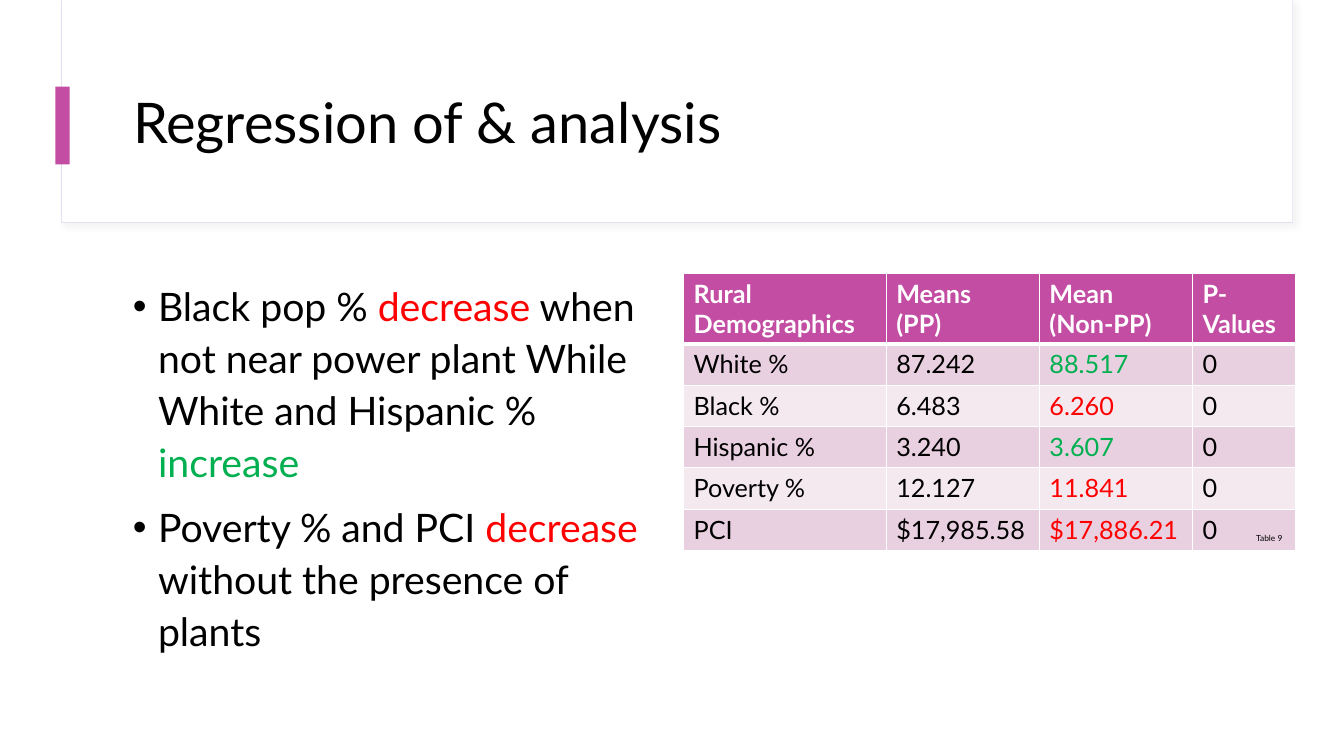
"""Builds the slide on the regression of rural demographics near power plants."""
from collections import namedtuple

from lxml import etree
from pptx import Presentation
from pptx.dml.color import RGBColor
from pptx.enum.shapes import MSO_SHAPE
from pptx.enum.text import MSO_ANCHOR, MSO_AUTO_SIZE, PP_ALIGN
from pptx.oxml import parse_xml
from pptx.oxml.ns import nsdecls, qn
from pptx.util import Inches, Pt

RECTANGLE = MSO_SHAPE.RECTANGLE
MIDDLE, TOP = MSO_ANCHOR.MIDDLE, MSO_ANCHOR.TOP
LEFT = PP_ALIGN.LEFT
FIT_SHAPE, NO_FIT = MSO_AUTO_SIZE.SHAPE_TO_FIT_TEXT, MSO_AUTO_SIZE.NONE

THEME = {
    "font": "Lato",
    "text": "000000", "white": "FFFFFF", "accent": "C34DA3",
    "panel_line": "E1E1F2", "shadow": "D9D9D9",
    "bands": ("E9D0E0", "F5E9F0"),
    "down": "FF0000", "up": "00B050",
    "title_size": 40, "body_size": 28, "table_size": 18, "label_size": 6,
}

TITLE = "Regression of & analysis"
FINDINGS = [
    [("Black pop % ", "text"), ("decrease", "down"),
     (" when not near power plant While White and Hispanic % ", "text"), ("increase", "up")],
    [("Poverty % and PCI ", "text"), ("decrease", "down"),
     (" without the presence of plants", "text")],
]
HEADERS = ("Rural\nDemographics", "Means\n(PP)", "Mean\n(Non-PP)", "P-Values")
DEMOGRAPHICS = [
    ("White %", "87.242", "88.517", "0", "up"),
    ("Black %", "6.483", "6.260", "0", "down"),
    ("Hispanic %", "3.240", "3.607", "0", "up"),
    ("Poverty %", "12.127", "11.841", "0", "down"),
    ("PCI", "$17,985.58", "$17,886.21", "0", "down"),
]
TABLE_LABEL = "Table 9"
NON_PP_COLUMN = 2

SLIDE_WIDTH, SLIDE_HEIGHT = Inches(13.33), Inches(7.5)
Area = namedtuple("Area", "left top width height")
PANEL = Area(4.58, 0, 91.6, 29.47)
PANEL_FACE = Area(4.65, 0, 91.52, 29.33)
ACCENT_BAR = Area(4.13, 11.47, 1.05, 10.27)
TITLE_AREA = Area(9.15, 8, 83.42, 17.2)
FINDINGS_AREA = Area(9.15, 36.13, 40.51, 53.87)
TABLE_AREA = Area(50.86, 36.13, 45.46, 36.4)
LABEL_AREA = Area(92.72, 69.87, 3.6, 2.67)
COLUMN_SHARES = (15.08, 11.4, 11.4, 7.65)
ROW_SHARE = 5.47


def across(percent):
    return round(SLIDE_WIDTH * percent / 100)


def down(percent):
    return round(SLIDE_HEIGHT * percent / 100)


def place(area):
    return across(area.left), down(area.top), across(area.width), down(area.height)


def colour(name):
    return RGBColor.from_string(THEME.get(name, name))


def style(font, size, ink="text", bold=False):
    font.name = THEME["font"]
    font.size = Pt(THEME[size])
    font.color.rgb = colour(ink)
    font.bold = bold


def add_block(slide, area, fill, line=None):
    block = slide.shapes.add_shape(RECTANGLE, *place(area))
    block.shadow.inherit = False
    block.fill.solid()
    block.fill.fore_color.rgb = colour(fill)
    if line:
        block.line.color.rgb = colour(line)
        block.line.width = Pt(0.75)
    else:
        block.line.fill.background()
    return block


def add_soft_shadow(block):
    effects = block._element.spPr.find(qn("a:effectLst"))
    shadow = etree.SubElement(effects, qn("a:outerShdw"), blurRad=str(Pt(4)),
                              dist=str(Pt(3)), dir=str(45 * 60000), rotWithShape="0")
    tint = etree.SubElement(shadow, qn("a:srgbClr"), val=THEME["shadow"])
    etree.SubElement(tint, qn("a:alpha"), val="30000")


def add_title(slide):
    title = slide.shapes.title
    slide.shapes._spTree.append(title._element)
    title.left, title.top, title.width, title.height = place(TITLE_AREA)
    frame = title.text_frame
    frame.text = TITLE
    frame.word_wrap = True
    frame.auto_size = NO_FIT
    frame.vertical_anchor = MIDDLE
    heading = frame.paragraphs[0]
    heading.alignment = LEFT
    heading.line_spacing = 0.9
    style(heading.runs[0].font, "title_size")


def add_findings(slide):
    frame = slide.shapes.add_textbox(*place(FINDINGS_AREA)).text_frame
    frame.word_wrap = True
    frame.vertical_anchor = TOP
    for index, finding in enumerate(FINDINGS):
        paragraph = frame.add_paragraph() if index else frame.paragraphs[0]
        paragraph.line_spacing = 1.1
        paragraph.space_before = Pt(10 if index else 0)
        properties = paragraph._p.get_or_add_pPr()
        properties.set("marL", str(Inches(0.25)))
        properties.set("indent", str(-Inches(0.25)))
        etree.SubElement(properties, qn("a:buFont"), typeface="Arial")
        etree.SubElement(properties, qn("a:buChar"), char="•")
        for words, ink in finding:
            run = paragraph.add_run()
            run.text = words
            style(run.font, "body_size", ink)


def add_borders(cell, bottom):
    properties = cell._tc.get_or_add_tcPr()
    for side, points in (("L", 1), ("R", 1), ("T", 1), ("B", bottom)):
        properties.append(parse_xml(
            f'<a:ln{side} {nsdecls("a")} w="{Pt(points)}"><a:solidFill>'
            f'<a:srgbClr val="{THEME["white"]}"/></a:solidFill></a:ln{side}>'))


def fill_cell(cell, words, fill, ink, bold=False, bottom=1):
    cell.text = words
    add_borders(cell, bottom)
    cell.fill.solid()
    cell.fill.fore_color.rgb = colour(fill)
    for paragraph in cell.text_frame.paragraphs:
        style(paragraph.runs[0].font, "table_size", ink, bold)


def add_demographics(slide):
    table_frame = slide.shapes.add_table(
        len(DEMOGRAPHICS) + 1, len(HEADERS), *place(TABLE_AREA))
    table = table_frame.table
    for column, share in zip(table.columns, COLUMN_SHARES):
        column.width = across(share)
    for row in table.rows:
        row.height = down(ROW_SHARE)
    for column, header in enumerate(HEADERS):
        fill_cell(table.cell(0, column), header, "accent", "white", bold=True, bottom=3)
    for row, (*values, trend) in enumerate(DEMOGRAPHICS, start=1):
        band = THEME["bands"][(row - 1) % 2]
        for column, value in enumerate(values):
            ink = trend if column == NON_PP_COLUMN else "text"
            fill_cell(table.cell(row, column), value, band, ink,
                      bottom=1)
        for column in range(len(HEADERS)) if row == 1 else ():
            top = table.cell(row, column)._tc.tcPr.find(qn("a:lnT"))
            top.set("w", str(Pt(3)))


def add_table_label(slide):
    frame = slide.shapes.add_textbox(*place(LABEL_AREA)).text_frame
    frame.text = TABLE_LABEL
    frame.word_wrap = False
    frame.auto_size = FIT_SHAPE
    style(frame.paragraphs[0].runs[0].font, "label_size")


def main():
    deck = Presentation()
    deck.slide_width, deck.slide_height = SLIDE_WIDTH, SLIDE_HEIGHT
    slide = deck.slides.add_slide(deck.slide_layouts[5])
    add_soft_shadow(add_block(slide, PANEL, "white", "panel_line"))
    add_block(slide, PANEL_FACE, "white")
    add_block(slide, ACCENT_BAR, "accent")
    add_title(slide)
    add_findings(slide)
    add_demographics(slide)
    add_table_label(slide)
    deck.save("out.pptx")


if __name__ == "__main__":
    main()
